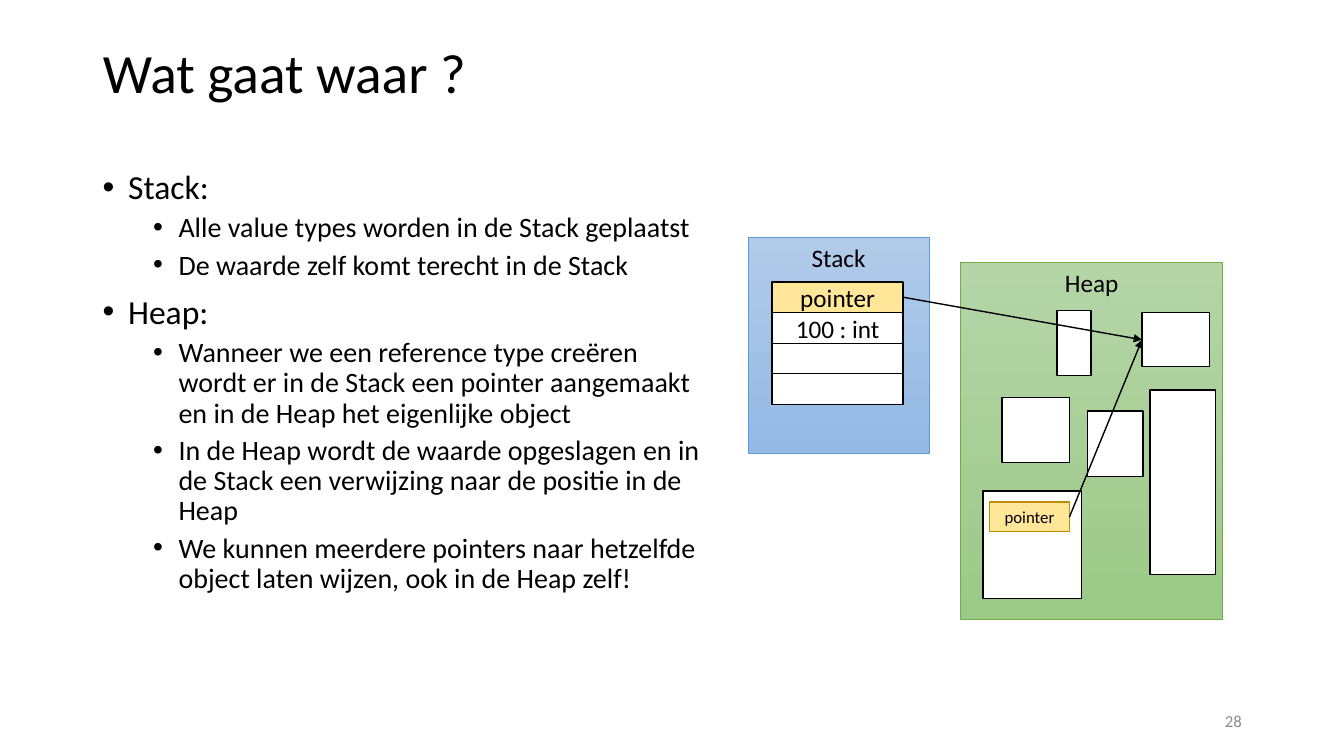
from dataclasses import dataclass

from lxml import etree
from pptx import Presentation
from pptx.dml.color import RGBColor
from pptx.enum.shapes import MSO_CONNECTOR, MSO_SHAPE
from pptx.enum.text import MSO_ANCHOR, MSO_AUTO_SIZE, PP_ALIGN
from pptx.oxml.ns import qn
from pptx.util import Cm, Pt

RECT = MSO_SHAPE.RECTANGLE
STRAIGHT = MSO_CONNECTOR.STRAIGHT
TOP, MIDDLE = MSO_ANCHOR.TOP, MSO_ANCHOR.MIDDLE
LEFT, CENTER, RIGHT = PP_ALIGN.LEFT, PP_ALIGN.CENTER, PP_ALIGN.RIGHT
NO_FIT = MSO_AUTO_SIZE.NONE


@dataclass(frozen=True)
class Theme:
    """Colours, font and type sizes of the slide."""
    font: str = "Calibri"
    ink: str = "000000"
    white: str = "FFFFFF"
    muted: str = "8C8C8C"
    pointer: str = "FFE699"
    pointer_line: str = "BD8E00"
    stack: tuple = ("B1CBE9", "93B9E4")
    stack_line: str = "5B9BD5"
    heap: tuple = ("B5D5A7", "9CC987")
    heap_line: str = "70AD47"
    title: float = 39.6
    topic: float = 24
    detail: float = 20
    label: float = 18
    small: float = 12


class Deck:
    """Holds the theme and the current slide."""

    def __init__(self, theme):
        """Open a widescreen presentation with one title-only slide."""
        self.theme = theme
        self.prs = Presentation()
        self.prs.slide_width, self.prs.slide_height = Cm(33.87), Cm(19.05)
        self.s = self.prs.slides.add_slide(self.prs.slide_layouts[5])

    def style(self, target, **values):
        """Set each given attribute on the target."""
        for name, value in values.items():
            setattr(target, name, value)

    def add_text(self, p, text, size, color=None, **values):
        """Put one formatted run in a paragraph."""
        self.style(p, **values)
        r = p.add_run()
        r.text = text
        self.style(r.font, name=self.theme.font, size=Pt(size))
        r.font.color.rgb = RGBColor.from_string(color or self.theme.ink)

    def title(self, text, box):
        """Move and fill the title placeholder."""
        sp = self.s.shapes.title
        left, top, width, height = map(Cm, box)
        self.style(sp, left=left, top=top, width=width, height=height)
        tf = sp.text_frame
        self.style(tf, word_wrap=True, auto_size=NO_FIT, vertical_anchor=MIDDLE)
        self.add_text(tf.paragraphs[0], text, self.theme.title,
                      alignment=LEFT, line_spacing=0.9)

    def textbox(self, box, anchor=TOP):
        """Add a wrapping text box and return its frame."""
        tf = self.s.shapes.add_textbox(*map(Cm, box)).text_frame
        self.style(tf, word_wrap=True, vertical_anchor=anchor)
        return tf

    def bullets(self, items, box):
        """Add a two-level bulleted list."""
        tf = self.textbox(box)
        levels = ((self.theme.topic, 0.64, 10), (self.theme.detail, 1.91, 5))
        for i, (level, text) in enumerate(items):
            size, indent, before = levels[level]
            p = tf.add_paragraph() if i else tf.paragraphs[0]
            pPr = p._p.get_or_add_pPr()
            pPr.set("marL", str(Cm(indent)))
            pPr.set("indent", str(-Cm(0.64)))
            etree.SubElement(pPr, qn("a:buFont")).set("typeface", "Arial")
            etree.SubElement(pPr, qn("a:buChar")).set("char", "•")
            self.add_text(p, text, size, level=level, line_spacing=0.9,
                          space_before=Pt(before if i else 0))

    def rect(self, box, fill, line=None, width=1, text="", size=None, anchor=MIDDLE):
        """Add a rectangle with a plain fill or a downward gradient."""
        sp = self.s.shapes.add_shape(RECT, *map(Cm, box))
        sp.shadow.inherit = False
        if isinstance(fill, tuple):
            sp.fill.gradient()
            sp.fill.gradient_angle = 270
            for stop, color in zip(sp.fill.gradient_stops, fill):
                stop.color.rgb = RGBColor.from_string(color)
        else:
            sp.fill.solid()
            sp.fill.fore_color.rgb = RGBColor.from_string(fill)
        sp.line.color.rgb = RGBColor.from_string(line or self.theme.ink)
        sp.line.width = Pt(width)
        if text:
            tf = sp.text_frame
            self.style(tf, word_wrap=True, vertical_anchor=anchor)
            self.add_text(tf.paragraphs[0], text, size or self.theme.label,
                          alignment=CENTER)

    def arrow(self, start, end):
        """Add a straight arrow between two points."""
        c = self.s.shapes.add_connector(STRAIGHT, *map(Cm, start + end))
        c.line.color.rgb = RGBColor.from_string(self.theme.ink)
        c.line.width = Pt(1)
        ln = c._element.spPr.find(qn("a:ln"))
        etree.SubElement(ln, qn("a:tailEnd")).set("type", "triangle")
        etree.SubElement(c._element.spPr, qn("a:effectLst"))

    def number(self, text, box):
        """Add the page number."""
        tf = self.textbox(box, MIDDLE)
        self.add_text(tf.paragraphs[0], text, self.theme.small, self.theme.muted,
                      alignment=RIGHT)


BULLETS = (
    (0, "Stack:"),
    (1, "Alle value types worden in de Stack geplaatst"),
    (1, "De waarde zelf komt terecht in de Stack"),
    (0, "Heap:"),
    (1, "Wanneer we een reference type creëren wordt er in de Stack een pointer "
        "aangemaakt en in de Heap het eigenlijke object"),
    (1, "In de Heap wordt de waarde opgeslagen en in de Stack een verwijzing naar "
        "de positie in de Heap"),
    (1, "We kunnen meerdere pointers naar hetzelfde object laten wijzen, ook in de "
        "Heap zelf!"),
)
STACK_CELLS = ("pointer", "100 : int", "", "")
HEAP_OBJECTS = (
    (24.77, 12.37, 2.49, 2.72),
    (26.64, 7.82, 0.86, 1.65),
    (28.78, 7.87, 1.7, 1.37),
    (28.98, 9.83, 1.65, 4.65),
    (25.25, 10.01, 1.7, 1.65),
    (27.41, 10.36, 1.4, 1.65),
)
POINTER_STARTS = ((26.95, 13.03), (22.76, 7.49))
TARGET = (28.78, 8.56)


def main():
    """Build and save the slide."""
    theme = Theme()
    deck = Deck(theme)
    deck.title("Wat gaat waar ?", (2.34, 1.02, 29.21, 1.78))
    deck.bullets(BULLETS, (2.34, 4.17, 15.65, 12.98))

    deck.rect((18.85, 5.97, 4.57, 5.46), theme.stack, theme.stack_line, 0.5,
              "Stack", anchor=TOP)
    for i, text in enumerate(STACK_CELLS):
        fill = theme.white if i else theme.pointer
        deck.rect((19.46, 7.11 + 0.77 * i, 3.3, 0.78), fill, text=text)

    deck.rect((24.21, 6.6, 6.6, 9.02), theme.heap, theme.heap_line, 0.5,
              "Heap", anchor=TOP)
    for box in HEAP_OBJECTS:
        deck.rect(box, theme.white)
    deck.rect((24.94, 12.65, 2.01, 0.74), theme.pointer, theme.pointer_line,
              text="pointer", size=theme.small)
    for start in POINTER_STARTS:
        deck.arrow(start, TARGET)

    deck.number("28", (23.93, 17.65, 7.62, 1.02))
    deck.prs.save("out.pptx")


if __name__ == "__main__":
    main()
